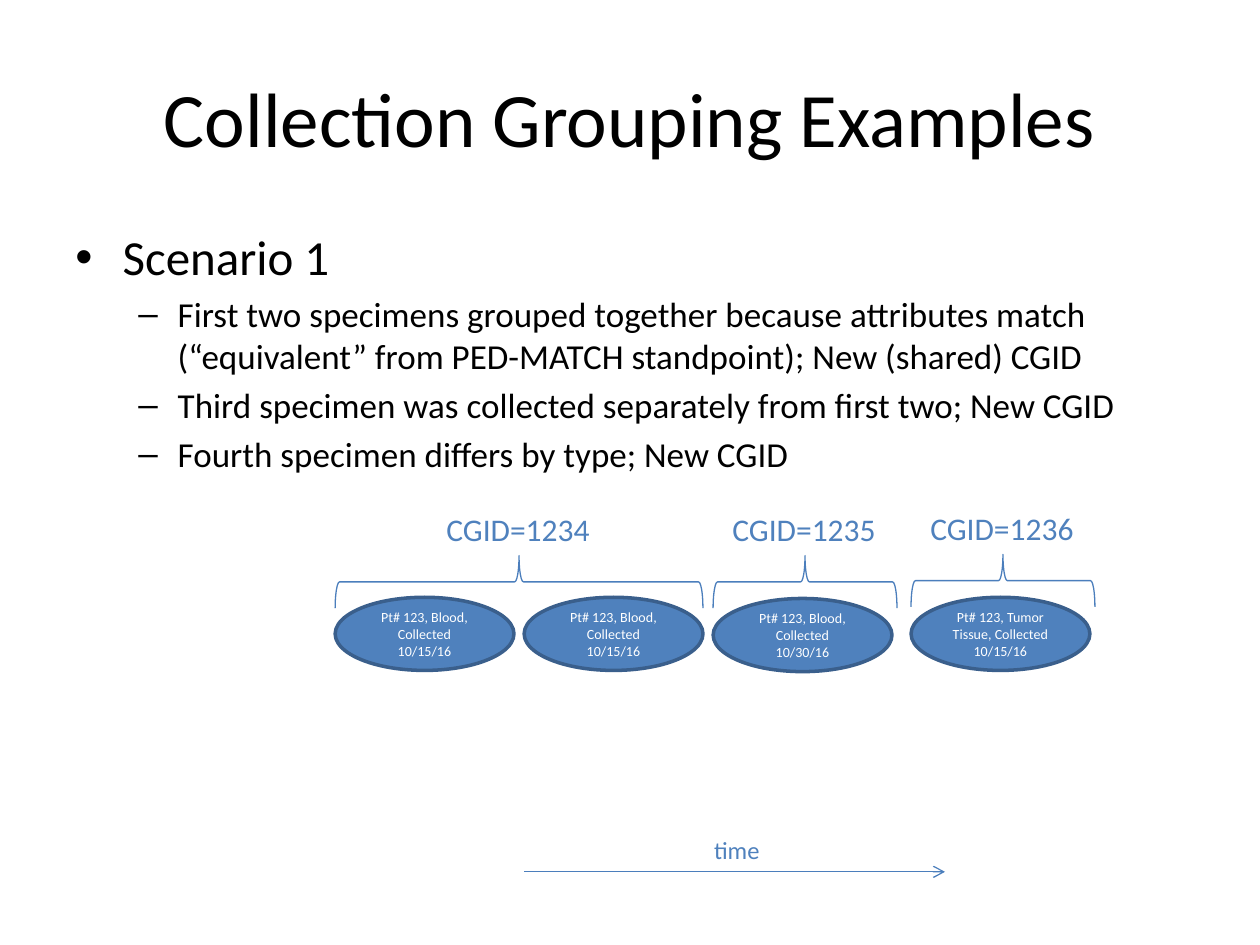
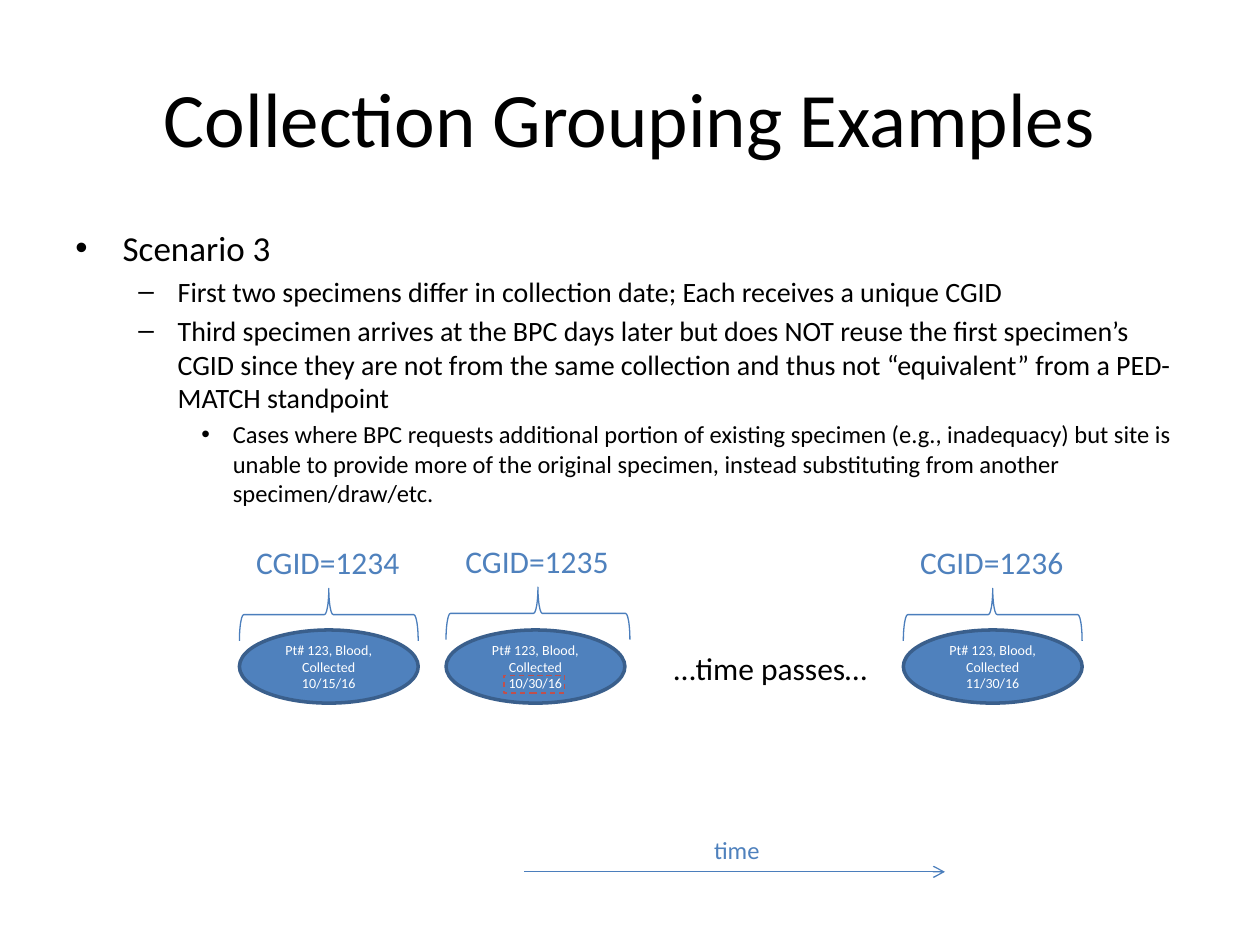
from lxml import etree
from pptx import Presentation
from pptx.dml.color import RGBColor
from pptx.enum.dml import MSO_LINE
from pptx.enum.shapes import MSO_CONNECTOR, MSO_SHAPE
from pptx.enum.text import MSO_ANCHOR, MSO_AUTO_SIZE, PP_ALIGN
from pptx.oxml.ns import qn
from pptx.util import Pt

LEFT, CENTER = PP_ALIGN.LEFT, PP_ALIGN.CENTER
TOP, MIDDLE = MSO_ANCHOR.TOP, MSO_ANCHOR.MIDDLE
ELLIPSE, BRACE, RECTANGLE = MSO_SHAPE.OVAL, MSO_SHAPE.RIGHT_BRACE, MSO_SHAPE.RECTANGLE
STRAIGHT, DASH = MSO_CONNECTOR.STRAIGHT, MSO_LINE.DASH
GROW, FIXED = MSO_AUTO_SIZE.SHAPE_TO_FIT_TEXT, MSO_AUTO_SIZE.NONE


class Theme:
    font = "Calibri"
    black, white = RGBColor(0, 0, 0), RGBColor(255, 255, 255)
    blue = RGBColor(0x4F, 0x81, 0xBD)
    outline = RGBColor(0x3A, 0x5F, 0x8C)
    thin_line = RGBColor(0x4B, 0x7E, 0xBC)
    red = RGBColor(0xC0, 0x50, 0x4D)
    title_size, label_size, time_size, specimen_size = 44, 18, 14, 8
    thin, thick = 0.75, 2
    # Bullet character, left margin and hanging indent of each level
    bullets = [("•", 27, 27), ("–", 58.5, 22.5), ("•", 90, 18)]


# Content
TITLE = "Collection Grouping Examples"
BLOOD = "Pt# 123, Blood,"
OCT_15 = [BLOOD, "Collected 10/15/16"]
OCT_30 = [BLOOD, "Collected 10/30/16"]
NOV_30 = [BLOOD, "Collected 11/30/16"]
TUMOR = ["Pt# 123, Tumor Tissue, Collected 10/15/16"]

# Each group: label, left, brace top, brace width, specimen top, specimens
SCENARIOS = [
    {
        "sizes": (28, 20),
        "bullets": [
            (0, "Scenario 1"),
            (1, "First two specimens grouped together because attributes match "
                "(“equivalent” from PED-MATCH standpoint); New (shared) CGID"),
            (1, "Third specimen was collected separately from first two; New CGID"),
            (1, "Fourth specimen differs by type; New CGID"),
        ],
        "groups": [
            ("CGID=1234", 191.5, 317.5, 210.2, 341.3, [OCT_15, OCT_15]),
            ("CGID=1235", 407.5, 317.5, 105.1, 342, [OCT_30]),
            ("CGID=1236", 520.6, 316.8, 105.1, 341.3, [TUMOR]),
        ],
    },
    {
        "sizes": (20, 16, 14),
        "bullets": [
            (0, "Scenario 3"),
            (1, "First two specimens differ in collection date; "
                "Each receives a unique CGID"),
            (1, "Third specimen arrives at the BPC days later but does NOT reuse "
                "the first specimen’s CGID since they are not from the same "
                "collection and thus not “equivalent” from a PED-MATCH standpoint"),
            (2, "Cases where BPC requests additional portion of existing specimen "
                "(e.g., inadequacy) but site is unable to provide more of the "
                "original specimen, instead substituting from another "
                "specimen/draw/etc."),
        ],
        "groups": [
            ("CGID=1234", 136.8, 336.2, 102.2, 360, [OCT_15]),
            ("CGID=1235", 254.9, 335.5, 105.1, 360, [OCT_30]),
            ("CGID=1236", 516.2, 336.2, 102.2, 360, [NOV_30]),
        ],
        "pause": ("…time passes…", 378, 367.2, 127.4, 29),
        "date_mark": (288, 385.9, 34.6, 10.1),
    },
]

# Layout
TITLE_BOX = (36, 21.6, 648, 90)
BODY_BOX = (36, 126, 648, 356.4)
SPECIMEN_SIZE = (102.2, 41.8)
SPECIMEN_PITCH = 108
BRACE_HEIGHT = 30
LABEL_SIZE = (97.2, 29)
LABEL_RISE = 29.5
TIME_BOX = (401, 473.8, 41, 24.5)
TIME_ARROW = (299.5, 498.2, 540, 498.2)


def points(values):
    return [Pt(value) for value in values]


def apply(target, formats):
    for name, value in formats.items():
        setattr(target, name, value)


def write(shape, lines, size, color, align=LEFT, anchor=TOP, wrap=True, auto_size=FIXED):
    """Fill a shape with one paragraph per line."""
    frame = shape.text_frame
    apply(frame, {"word_wrap": wrap, "auto_size": auto_size, "vertical_anchor": anchor})
    frame.text = "\n".join(lines)
    for paragraph in frame.paragraphs:
        paragraph.alignment = align
        apply(paragraph.font, {"name": Theme.font, "size": Pt(size)})
        paragraph.font.color.rgb = color


def add_label(slide, text, box, size, color):
    shape = slide.shapes.add_textbox(*points(box))
    write(shape, [text], size, color, wrap=False, auto_size=GROW)


def add_outline(slide, kind, box, color, width, fill=None):
    shape = slide.shapes.add_shape(kind, *points(box))
    shape.shadow.inherit = False
    if fill is None:
        shape.fill.background()
    else:
        shape.fill.solid()
        shape.fill.fore_color.rgb = fill
    shape.line.color.rgb = color
    shape.line.width = Pt(width)
    return shape


def add_bullets(slide, bullets, sizes):
    body = slide.shapes.add_textbox(*points(BODY_BOX))
    write(body, [text for level, text in bullets], sizes[0], Theme.black)
    for paragraph, (level, text) in zip(body.text_frame.paragraphs, bullets):
        size = sizes[level]
        apply(paragraph, {"level": level, "space_before": Pt(size * 0.2)})
        paragraph.font.size = Pt(size)
        character, margin, hanging = Theme.bullets[level]
        properties = paragraph._p.get_or_add_pPr()
        properties.set("marL", str(Pt(margin)))
        properties.set("indent", str(-Pt(hanging)))
        # Bullet elements go after the spacing and before the run defaults
        bullet_font = etree.Element(qn("a:buFont"), typeface="Arial")
        bullet = etree.Element(qn("a:buChar"), char=character)
        properties.find(qn("a:spcBef")).addnext(bullet_font)
        bullet_font.addnext(bullet)


def add_group(slide, label, left, brace_top, width, specimen_top, specimens):
    for index, lines in enumerate(specimens):
        box = (left + index * SPECIMEN_PITCH, specimen_top, *SPECIMEN_SIZE)
        shape = add_outline(slide, ELLIPSE, box, Theme.outline, Theme.thick, Theme.blue)
        write(shape, lines, Theme.specimen_size, Theme.white, CENTER, MIDDLE)
    # The brace stands upright about its centre, then turns to point up
    center = left + width / 2
    middle = brace_top + BRACE_HEIGHT / 2
    box = (center - BRACE_HEIGHT / 2, middle - width / 2, BRACE_HEIGHT, width)
    add_outline(slide, BRACE, box, Theme.thin_line, Theme.thin).rotation = 270
    label_box = (center - LABEL_SIZE[0] / 2, brace_top - LABEL_RISE, *LABEL_SIZE)
    add_label(slide, label, label_box, Theme.label_size, Theme.blue)


def add_time_axis(slide):
    arrow = slide.shapes.add_connector(STRAIGHT, *points(TIME_ARROW))
    arrow.line.color.rgb = Theme.thin_line
    arrow.line.width = Pt(Theme.thin)
    etree.SubElement(arrow.line._get_or_add_ln(), qn("a:tailEnd"), type="arrow")
    etree.SubElement(arrow._element.spPr, qn("a:effectLst"))
    add_label(slide, "time", TIME_BOX, Theme.time_size, Theme.blue)


presentation = Presentation()
apply(presentation, {"slide_width": Pt(720), "slide_height": Pt(540)})

for scenario in SCENARIOS:
    slide = presentation.slides.add_slide(presentation.slide_layouts[6])
    # Title and explanation
    title = slide.shapes.add_textbox(*points(TITLE_BOX))
    write(title, [TITLE], Theme.title_size, Theme.black, CENTER, MIDDLE)
    add_bullets(slide, scenario["bullets"], scenario["sizes"])
    # Specimen diagram
    for group in scenario["groups"]:
        add_group(slide, *group)
    if "pause" in scenario:
        text, *box = scenario["pause"]
        add_label(slide, text, box, Theme.label_size, Theme.black)
    if "date_mark" in scenario:
        mark = add_outline(slide, RECTANGLE, scenario["date_mark"], Theme.red, Theme.thin)
        mark.line.dash_style = DASH
    add_time_axis(slide)

presentation.save("out.pptx")
